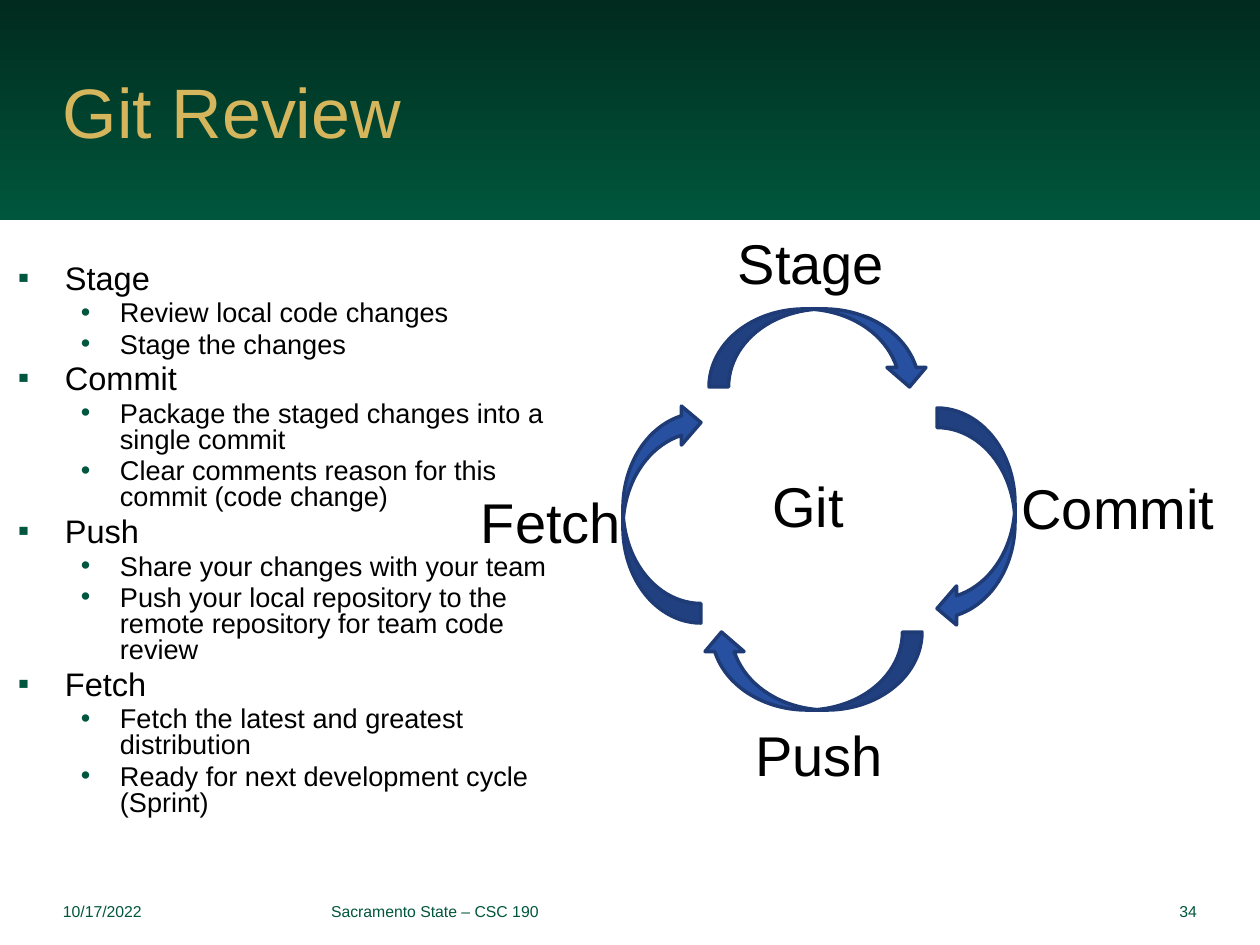
from lxml.etree import SubElement
from pptx import Presentation
from pptx.dml.color import RGBColor
from pptx.enum.shapes import MSO_SHAPE as SHAPE
from pptx.enum.text import MSO_ANCHOR as ANCHOR, PP_ALIGN as ALIGN
from pptx.oxml.ns import qn
from pptx.util import Emu, Pt

EMU_PER_PX = 914400 / 126
GREEN, GOLD, BLACK = "00563C", "D5B65D", "000000"

# Bullet, margin and hanging indent in px, size and space before in points
LEVELS = [
    {"bullet": "▪", "margin": 47, "hang": 47, "size": 18.6, "before": 3.7},
    {"bullet": "•", "margin": 102, "hang": 39, "size": 15.5, "before": 3.1},
]
STEPS = {
    "Stage": ["Review local code changes", "Stage the changes"],
    "Commit": ["Package the staged changes into a single commit",
               "Clear comments reason for this commit (code change)"],
    "Push": ["Share your changes with your team",
             "Push your local repository to the remote repository for team code review"],
    "Fetch": ["Fetch the latest and greatest distribution",
              "Ready for next development cycle (Sprint)"],
}
# Left and top before rotation; each arrow turns a further quarter
ARROWS = [(709, 309), (866, 479), (702, 632), (552, 474)]
# Centre of each label, and the size of box that holds the longest one
LABELS = [("Commit", 1118, 507), ("Push", 819, 754), ("Fetch", 551, 521),
          ("Stage", 811, 262), ("Git", 808, 505)]
LABEL_WIDTH, LABEL_HEIGHT = 220, 126


def px(value):
    return Emu(round(value * EMU_PER_PX))


def color(value):
    return RGBColor.from_string(value)


def add_run(paragraph, text, size, hex_color):
    run = paragraph.add_run()
    run.text = text
    for name, value in {"name": "Arial", "size": Pt(size)}.items():
        setattr(run.font, name, value)
    run.font.color.rgb = color(hex_color)


def add_frame(slide, box):
    frame = slide.shapes.add_textbox(*map(px, box)).text_frame
    settings = {"word_wrap": True, "vertical_anchor": ANCHOR.MIDDLE,
                "margin_left": 0, "margin_right": 0,
                "margin_top": 0, "margin_bottom": 0}
    for name, value in settings.items():
        setattr(frame, name, value)
    return frame


def add_text(slide, text, box, size, hex_color, align=ALIGN.LEFT):
    paragraph = add_frame(slide, box).paragraphs[0]
    paragraph.alignment = align
    add_run(paragraph, text, size, hex_color)


def add_label(slide, text, center_x, center_y):
    box = (center_x - LABEL_WIDTH // 2, center_y - LABEL_HEIGHT // 2,
           LABEL_WIDTH, LABEL_HEIGHT)
    add_text(slide, text, box, 32, BLACK, ALIGN.CENTER)


def add_banner(slide):
    banner = slide.shapes.add_shape(SHAPE.RECTANGLE, 0, 0, px(1260), px(220))
    banner.shadow.inherit = False
    banner.line.fill.background()
    banner.fill.gradient()
    banner.fill.gradient_angle = 270
    stops = zip(banner.fill.gradient_stops, (0, 1), ("002B1E", GREEN))
    for stop, position, hex_color in stops:
        stop.position = position
        stop.color.rgb = color(hex_color)


def add_bullet(paragraph, text, level):
    style = LEVELS[level]
    paragraph.level = level
    paragraph.line_spacing = 0.8
    properties = paragraph._p.get_or_add_pPr()
    properties.set("marL", str(px(style["margin"])))
    properties.set("indent", str(-px(style["hang"])))
    bullet_color = SubElement(properties, qn("a:buClr"))
    SubElement(bullet_color, qn("a:srgbClr"), val="00563F")
    SubElement(properties, qn("a:buFont"), typeface="Arial")
    SubElement(properties, qn("a:buChar"), char=style["bullet"])
    add_run(paragraph, text, style["size"], BLACK)


def add_step_list(slide):
    frame = add_frame(slide, (18, 234, 540, 615))
    lines = [(text, level) for step, details in STEPS.items()
             for text, level in [(step, 0)] + [(detail, 1) for detail in details]]
    for index, (text, level) in enumerate(lines):
        paragraph = frame.add_paragraph() if index else frame.paragraphs[0]
        if index:
            paragraph.space_before = Pt(LEVELS[level]["before"])
        add_bullet(paragraph, text, level)


def add_cycle_arrow(slide, left, top, rotation):
    arrow = slide.shapes.add_shape(SHAPE.CURVED_DOWN_ARROW,
                                   *map(px, (left, top, 220, 78)))
    arrow.rotation = rotation
    arrow.shadow.inherit = False
    arrow.fill.solid()
    arrow.fill.fore_color.rgb = color("2850A0")
    arrow.line.color.rgb = color("1E3B76")
    arrow.line.width = Pt(2)


def main():
    presentation = Presentation()
    presentation.slide_width, presentation.slide_height = px(1260), px(945)
    slide = presentation.slides.add_slide(presentation.slide_layouts[6])

    # Banner and title
    add_banner(slide)
    add_text(slide, "Git Review", (63, 16, 1134, 189), 40, GOLD)

    # Footer
    add_text(slide, "10/17/2022", (63, 880, 252, 63), 9, GREEN)
    add_text(slide, "Sacramento State – CSC 190", (331, 880, 599, 63), 9, GREEN)
    add_text(slide, "34", (945, 880, 252, 63), 9, GREEN, ALIGN.RIGHT)

    # Steps and the cycle they form
    add_step_list(slide)
    for index, (left, top) in enumerate(ARROWS):
        add_cycle_arrow(slide, left, top, 90 * index)
    for label in LABELS:
        add_label(slide, *label)

    presentation.save("out.pptx")


if __name__ == "__main__":
    main()
